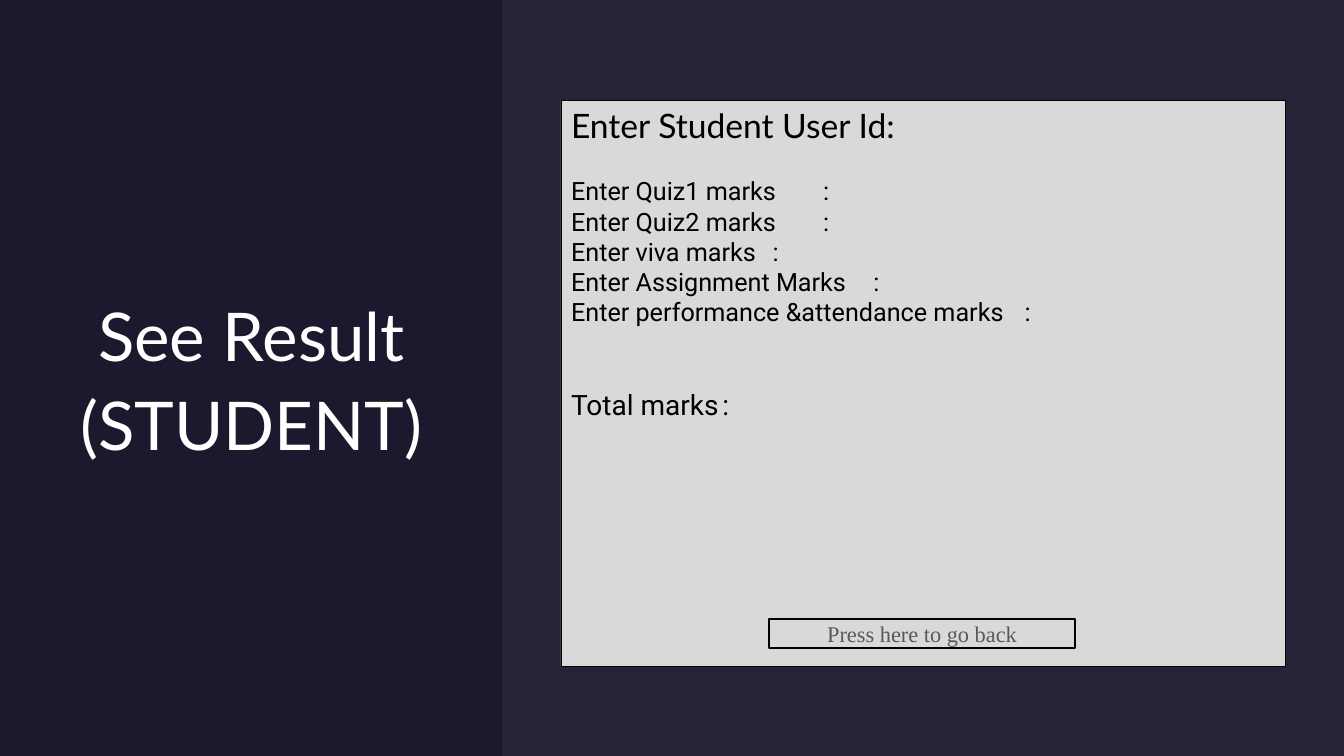
from lxml import etree
from pptx import Presentation, util as u
from pptx.dml.color import RGBColor
from pptx.enum import shapes, text
from pptx.oxml.ns import qn

EMU_PER_PX = 12192000 / 1344
NAVY, LAVENDER, GREY = "1B192E", "E4E3F0", "D9D9D9"
BLACK, WHITE, DIM = "000000", "FFFFFF", "595959"
MARKS = [
    ("Enter Quiz1 marks", 503),
    ("Enter Quiz2 marks", 503),
    ("Enter viva marks", 508),
    ("Enter Assignment Marks", 498),
    ("Enter performance &attendance marks", 469),
]


def px(length):
    return u.Emu(round(length * EMU_PER_PX))


def color(value):
    return RGBColor.from_string(value)


def place(item, left, top, width, height):
    item.left, item.top, item.width, item.height = map(px, (left, top, width, height))


def paint(item, fill=None, outline=None, weight=1):
    if fill:
        item.fill.solid()
        item.fill.fore_color.rgb = color(fill)
    else:
        item.fill.background()
    if outline:
        item.line.color.rgb = color(outline)
        item.line.width = u.Pt(weight)
    else:
        item.line.fill.background()


def add_rect(slide, box, fill=None, outline=None):
    rect = slide.shapes.add_shape(shapes.MSO_SHAPE.RECTANGLE, *map(px, box))
    rect.shadow.inherit = False
    paint(rect, fill, outline)
    return rect


def set_alpha(rect, percent):
    tint = rect.fill._xPr.find(qn("a:solidFill"))[0]
    etree.SubElement(tint, qn("a:alpha")).set("val", str(percent * 1000))


def format_text(paragraph, size, font, ink, align, before=0, after=0):
    paragraph.alignment = align
    paragraph.line_spacing = 1.0
    paragraph.space_before, paragraph.space_after = u.Pt(before), u.Pt(after)
    for run in paragraph.runs:
        run.font.size = u.Pt(size)
        run.font.name = font
        run.font.color.rgb = color(ink)


def remove_bullet(paragraph, colon_at=None):
    props = paragraph._p.get_or_add_pPr()
    props.set("marL", "0")
    props.set("indent", "0")
    etree.SubElement(props, qn("a:buNone"))
    if colon_at:
        stops = etree.SubElement(props, qn("a:tabLst"))
        etree.SubElement(stops, qn("a:tab"), pos=str(px(colon_at)), algn="l")


def fill_title(title):
    place(title, 11, 76, 481, 606)
    frame = title.text_frame
    frame.text = "See Result\n(STUDENT)"
    frame.word_wrap = True
    frame.auto_size = text.MSO_AUTO_SIZE.NONE
    frame.vertical_anchor = text.MSO_ANCHOR.MIDDLE
    frame.margin_left = frame.margin_right = frame.margin_top = frame.margin_bottom = 0
    for paragraph in frame.paragraphs:
        format_text(paragraph, 48, "Lato", WHITE, text.PP_ALIGN.CENTER, after=6)


def add_entry(frame, label, size, colon_at, before=0):
    entry = frame.add_paragraph()
    entry.text = f"{label}\t:"
    format_text(entry, size, "Roboto", BLACK, text.PP_ALIGN.LEFT, before)
    remove_bullet(entry, colon_at)


def fill_form(form):
    place(form, 561, 100, 724, 566)
    paint(form, GREY, BLACK, 0.5)
    frame = form.text_frame
    frame.text = "Enter Student User Id:"
    frame.word_wrap = True
    frame.auto_size = text.MSO_AUTO_SIZE.NONE
    frame.vertical_anchor = text.MSO_ANCHOR.TOP
    heading = frame.paragraphs[0]
    format_text(heading, 24, "Lato", BLACK, text.PP_ALIGN.LEFT, after=21.6)
    remove_bullet(heading)
    for label, colon_at in MARKS:
        add_entry(frame, label, 18, colon_at)
    add_entry(frame, "Total marks", 20, 501, before=43.2)


def add_back_button(slide):
    button = add_rect(slide, (769, 619, 306, 29), outline=BLACK)
    frame = button.text_frame
    frame.text = "Press here to go back"
    frame.word_wrap = True
    frame.vertical_anchor = text.MSO_ANCHOR.MIDDLE
    format_text(frame.paragraphs[0], 16, "Times New Roman", DIM, text.PP_ALIGN.CENTER)


def main():
    deck = Presentation()
    deck.slide_width, deck.slide_height = px(1344), px(756)
    slide = deck.slides.add_slide(deck.slide_layouts[1])
    slide.background.fill.solid()
    slide.background.fill.fore_color.rgb = color(NAVY)
    title, form = slide.shapes.title, slide.placeholders[1]

    backdrop = add_rect(slide, (0, 0, 1344, 756), NAVY)
    title.element.addprevious(backdrop.element)
    fill_title(title)

    side = add_rect(slide, (502, 0, 842, 756), LAVENDER)
    set_alpha(side, 5)
    form.element.addprevious(side.element)
    fill_form(form)
    add_back_button(slide)
    deck.save("out.pptx")


if __name__ == "__main__":
    main()
